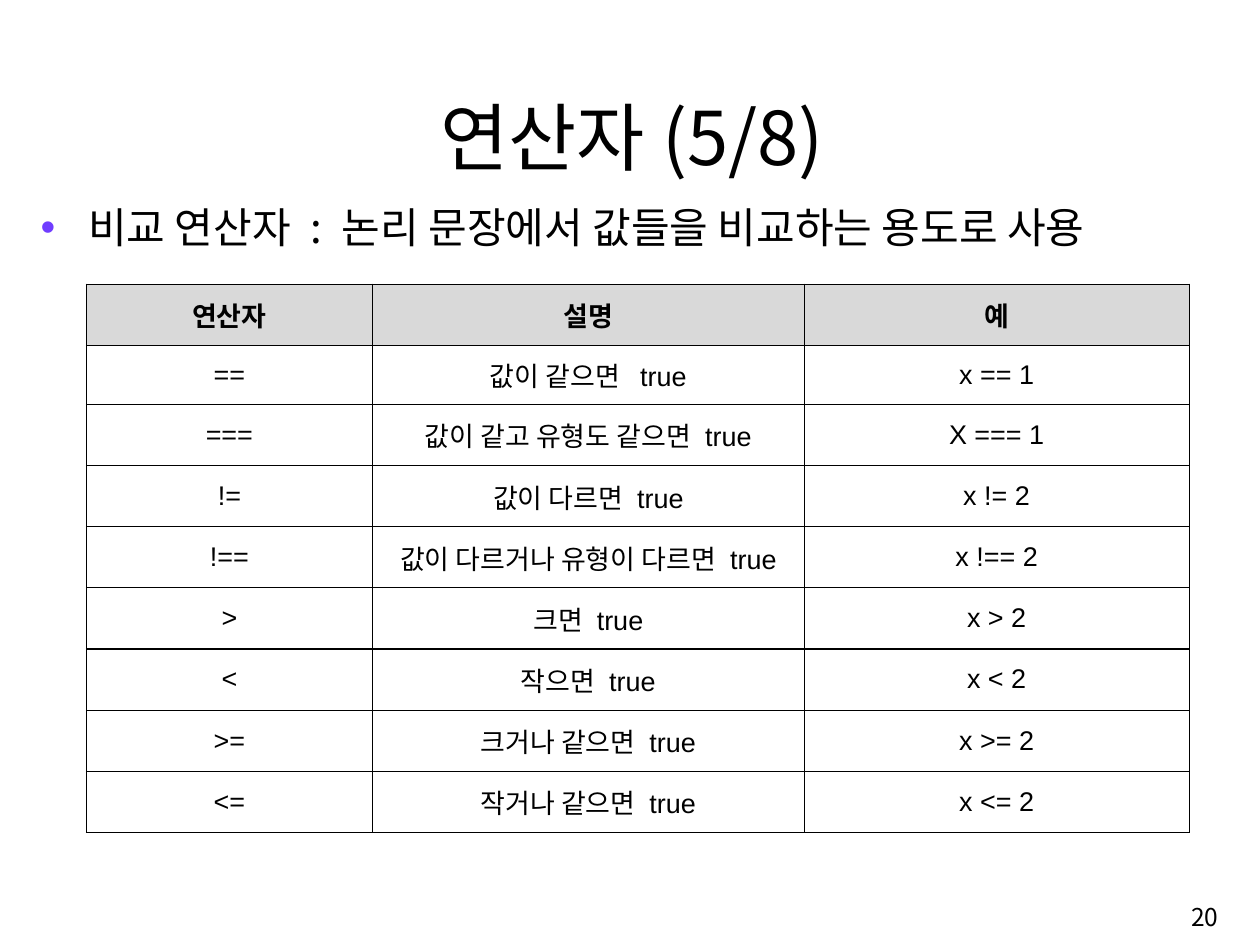
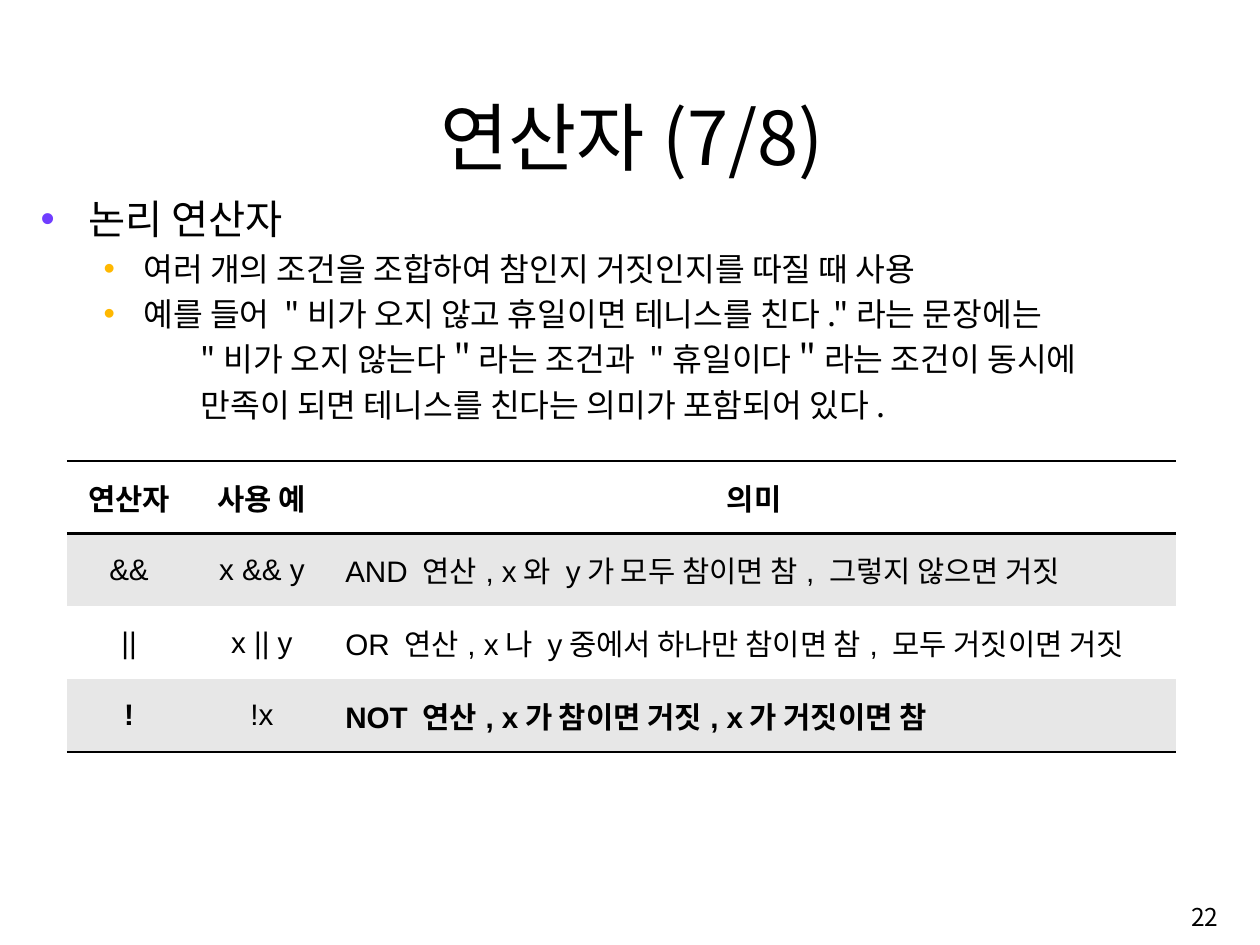
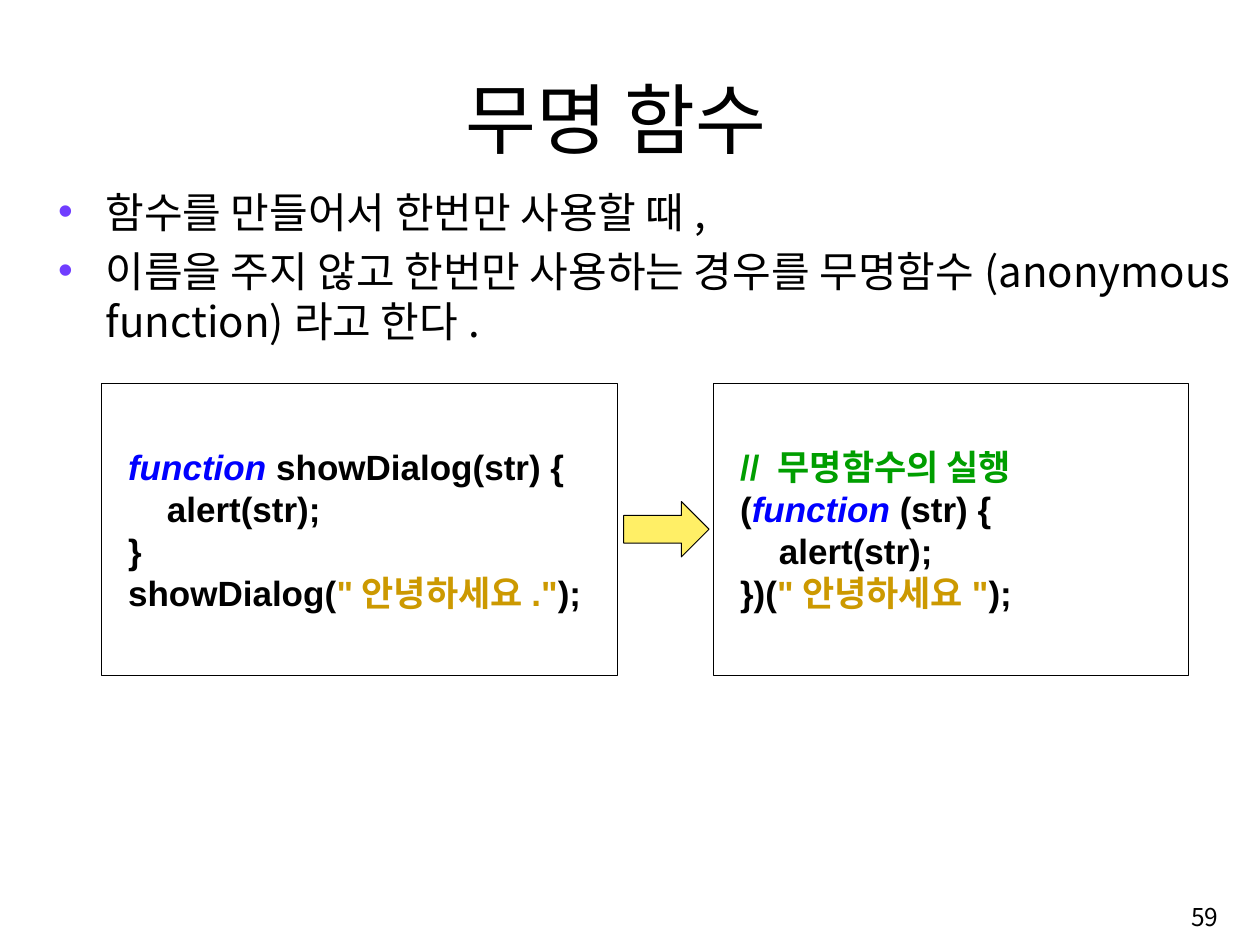
from dataclasses import dataclass

from lxml import etree
from pptx import Presentation
from pptx.dml.color import RGBColor
from pptx.enum.shapes import MSO_SHAPE
from pptx.enum.text import MSO_ANCHOR, PP_ALIGN
from pptx.oxml.ns import qn
from pptx.util import Inches, Pt

LEFT, CENTER, RIGHT = PP_ALIGN.LEFT, PP_ALIGN.CENTER, PP_ALIGN.RIGHT
TOP, MIDDLE, BOTTOM = MSO_ANCHOR.TOP, MSO_ANCHOR.MIDDLE, MSO_ANCHOR.BOTTOM
RECTANGLE, RIGHT_ARROW = MSO_SHAPE.RECTANGLE, MSO_SHAPE.RIGHT_ARROW
BLANK_LAYOUT = 6


@dataclass(frozen=True)
class Theme:
    text_font: str = "Noto Sans CJK KR"
    code_font: str = "Arial"
    black: str = "000000"
    white: str = "FFFFFF"
    bullets: tuple = ("703DFF", "FFB800")
    header_gray: str = "D9D9D9"
    band_gray: str = "E7E7E7"
    keyword: str = "0000FF"
    string: str = "CC9900"
    remark: str = "009E00"
    arrow: str = "FFEF66"
    page_size: float = 18.2
    code_size: float = 26
    line_height: float = 1.2
    outline: float = 0.75
    text_insets: tuple = (0.1, 0.05, 0.1, 0.05)
    title_insets: tuple = (0.1, 0.05, 0.1, 0)
    cell_insets: tuple = (0.13, 0.06, 0.13, 0.06)


THEME = Theme()
TITLE_BOX = (1.21, 0.78, 10.61, 1.08)
PAGE_BOX = (9.98, 9.15, 2.68, 0.6)
BULLET_INDENTS = ((0.49, -0.49), (1.06, -0.41))
CONTINUATION_INDENT = (1.65, 0)
CODE_INDENTS = (0.14, 0.54)


def color(value):
    return RGBColor.from_string(value)


def add_run(paragraph, text, size, font=THEME.text_font, fill=THEME.black,
            bold=False, italic=False):
    run = paragraph.add_run()
    run.text = text
    run.font.name = font
    run.font.size = Pt(size)
    run.font.bold = bold
    run.font.italic = italic
    run.font.color.rgb = color(fill)
    east_asian = etree.SubElement(run._r.get_or_add_rPr(), qn("a:ea"))
    east_asian.set("typeface", THEME.text_font)


def set_indent(paragraph, left, first=0):
    properties = paragraph._p.get_or_add_pPr()
    properties.set("marL", str(Inches(left)))
    properties.set("indent", str(Inches(first)))
    return properties


def add_bullet(properties, fill):
    bullet_color = etree.SubElement(properties, qn("a:buClr"))
    etree.SubElement(bullet_color, qn("a:srgbClr")).set("val", fill)
    etree.SubElement(properties, qn("a:buFont")).set("typeface", THEME.code_font)
    etree.SubElement(properties, qn("a:buChar")).set("char", "•")


def set_frame(frame, anchor, insets):
    frame.word_wrap = True
    frame.vertical_anchor = anchor
    (frame.margin_left, frame.margin_top,
     frame.margin_right, frame.margin_bottom) = map(Inches, insets)


def add_text_box(slide, box, anchor, insets=THEME.text_insets):
    frame = slide.shapes.add_textbox(*map(Inches, box)).text_frame
    set_frame(frame, anchor, insets)
    return frame


def next_paragraph(frame, index):
    return frame.add_paragraph() if index else frame.paragraphs[0]


def add_title(slide, box, text, size):
    frame = add_text_box(slide, box, BOTTOM, THEME.title_insets)
    paragraph = frame.paragraphs[0]
    paragraph.alignment = CENTER
    add_run(paragraph, text, size)


def add_page_number(slide, box, number):
    paragraph = add_text_box(slide, box, MIDDLE).paragraphs[0]
    paragraph.alignment = RIGHT
    add_run(paragraph, str(number), THEME.page_size)


def add_body(slide, box, items, sizes):
    frame = add_text_box(slide, box, TOP)
    for index, (level, bulleted, text) in enumerate(items):
        paragraph = next_paragraph(frame, index)
        size = sizes[level]
        paragraph.line_spacing = Pt(size * THEME.line_height)
        paragraph.space_before = Pt(size * 0.2)
        if bulleted:
            properties = set_indent(paragraph, *BULLET_INDENTS[level])
            add_bullet(properties, THEME.bullets[level])
        else:
            set_indent(paragraph, *CONTINUATION_INDENT)
        add_run(paragraph, text, size)


def set_borders(cell, widths):
    properties = cell._tc.get_or_add_tcPr()
    for side, width in zip(("lnL", "lnR", "lnT", "lnB"), widths):
        line = etree.SubElement(properties, qn(f"a:{side}"))
        line.set("w", str(Pt(width)))
        if width:
            solid = etree.SubElement(line, qn("a:solidFill"))
            etree.SubElement(solid, qn("a:srgbClr")).set("val", THEME.black)
        else:
            etree.SubElement(line, qn("a:noFill"))


def add_grid(slide, box, columns, heights, rows, size, fills, row_edges,
             column_edge, left_column=None, bold_cells=()):
    shape = slide.shapes.add_table(len(rows), len(columns), *map(Inches, box))
    table = shape.table
    table.first_row = table.horz_banding = False
    for column, width in zip(table.columns, columns):
        column.width = Inches(width)
    for row_index, texts in enumerate(rows):
        table.rows[row_index].height = Inches(heights[row_index])
        for column_index, text in enumerate(texts):
            cell = table.cell(row_index, column_index)
            set_borders(cell, (column_edge, column_edge,
                               *row_edges[row_index:row_index + 2]))
            cell.fill.solid()
            cell.fill.fore_color.rgb = color(fills[row_index])
            cell.vertical_anchor = MIDDLE
            (cell.margin_left, cell.margin_top,
             cell.margin_right, cell.margin_bottom) = map(Inches, THEME.cell_insets)
            paragraph = cell.text_frame.paragraphs[0]
            is_header = row_index == 0
            aligned_left = column_index == left_column and not is_header
            paragraph.alignment = LEFT if aligned_left else CENTER
            bold = is_header or (row_index, column_index) in bold_cells
            add_run(paragraph, text, size, THEME.code_font, bold=bold)


def add_outlined_shape(slide, kind, box, fill):
    shape = slide.shapes.add_shape(kind, *map(Inches, box))
    shape.shadow.inherit = False
    shape.fill.solid()
    shape.fill.fore_color.rgb = color(fill)
    shape.line.color.rgb = color(THEME.black)
    shape.line.width = Pt(THEME.outline)
    return shape


def add_code_box(slide, box, lines):
    frame = add_outlined_shape(slide, RECTANGLE, box, THEME.white).text_frame
    set_frame(frame, MIDDLE, THEME.cell_insets)
    for index, (depth, runs) in enumerate(lines):
        paragraph = next_paragraph(frame, index)
        paragraph.alignment = LEFT
        paragraph.line_spacing = Pt(THEME.code_size * THEME.line_height)
        set_indent(paragraph, CODE_INDENTS[depth])
        for text, fill in runs:
            add_run(paragraph, text, THEME.code_size, THEME.code_font, fill,
                    bold=True, italic=fill == THEME.keyword)


def add_slide(presentation, title, number, title_box=TITLE_BOX, title_size=55):
    slide = presentation.slides.add_slide(presentation.slide_layouts[BLANK_LAYOUT])
    add_title(slide, title_box, title, title_size)
    add_page_number(slide, PAGE_BOX, number)
    return slide


def add_comparison_slide(presentation):
    slide = add_slide(presentation, "연산자(5/8)", 20)
    add_body(slide, (0.32, 2.03, 12.32, 0.7),
             [(0, True, "비교 연산자 : 논리 문장에서 값들을 비교하는 용도로 사용")], (31.2,))
    rows = [
        ("연산자", "설명", "예"),
        ("==", "값이 같으면  true", "x == 1"),
        ("===", "값이 같고 유형도 같으면 true", "X === 1"),
        ("!=", "값이 다르면 true", "x != 2"),
        ("!==", "값이 다르거나 유형이 다르면 true", "x !== 2"),
        (">", "크면 true", "x > 2"),
        ("<", "작으면 true", "x < 2"),
        (">=", "크거나 같으면 true", "x >= 2"),
        ("<=", "작거나 같으면 true", "x <= 2"),
    ]
    body_count = len(rows) - 1
    add_grid(slide, (0.89, 2.93, 11.37, 5.65), (2.95, 4.45, 3.97),
             [0.63, 0.61] + [0.63] * (body_count - 1), rows, 20,
             [THEME.header_gray] + [THEME.white] * body_count,
             [1] * (len(rows) + 1), 1)


def add_logic_slide(presentation):
    slide = add_slide(presentation, "연산자(7/8)", 22)
    add_body(slide, (0.32, 1.95, 12.32, 2.6), [
        (0, True, "논리 연산자"),
        (1, True, "여러 개의 조건을 조합하여 참인지 거짓인지를 따질 때 사용"),
        (1, True, "예를 들어 \"비가 오지 않고 휴일이면 테니스를 친다.\"라는 문장에는"),
        (1, False, "\"비가 오지 않는다＂라는 조건과 \"휴일이다＂라는 조건이 동시에"),
        (1, False, "만족이 되면 테니스를 친다는 의미가 포함되어 있다."),
    ], (30, 24))
    rows = [
        ("연산자", "사용 예", "의미"),
        ("&&", "x && y", "AND 연산, x와 y가 모두 참이면 참, 그렇지 않으면 거짓"),
        ("||", "x || y", "OR 연산, x나 y중에서 하나만 참이면 참, 모두 거짓이면 거짓"),
        ("!", "!x", "NOT 연산, x가 참이면 거짓, x가 거짓이면 참"),
    ]
    add_grid(slide, (0.69, 4.75, 11.43, 3), (1.28, 1.46, 8.69),
             [0.75] * len(rows), rows, 22, [THEME.white, THEME.band_gray] * 2,
             [2, 2, 0, 0, 2], 0, left_column=2, bold_cells={(3, 0), (3, 2)})


def add_function_slide(presentation):
    slide = add_slide(presentation, "무명 함수", 59, (1.05, 0.61, 10.61, 1.08), 57.2)
    add_body(slide, (0.5, 1.87, 12.32, 1.9), [
        (0, True, "함수를 만들어서 한번만 사용할 때,"),
        (0, True, "이름을 주지 않고 한번만 사용하는 경우를 무명함수"
                  "(anonymous function)라고 한다."),
    ], (31.2,))
    alert_line = (1, [("alert(str);", THEME.black)])
    add_code_box(slide, (1.05, 3.95, 5.32, 3.01), [
        (0, [("function ", THEME.keyword), ("showDialog(str) {", THEME.black)]),
        alert_line,
        (0, [("}", THEME.black)]),
        (0, [("showDialog(", THEME.black), ("\"안녕하세요.\"", THEME.string),
             (");", THEME.black)]),
    ])
    add_code_box(slide, (7.36, 3.95, 4.89, 3.01), [
        (0, [("// 무명함수의 실행", THEME.remark)]),
        (0, [("(", THEME.black), ("function", THEME.keyword),
             (" (str) {", THEME.black)]),
        alert_line,
        (0, [("})(", THEME.black), ("\"안녕하세요\"", THEME.string),
             (");", THEME.black)]),
    ])
    add_outlined_shape(slide, RIGHT_ARROW, (6.43, 5.17, 0.88, 0.57), THEME.arrow)


def main():
    presentation = Presentation()
    presentation.slide_width = Inches(12.99)
    presentation.slide_height = Inches(9.74)
    add_comparison_slide(presentation)
    add_logic_slide(presentation)
    add_function_slide(presentation)
    presentation.save("out.pptx")


if __name__ == "__main__":
    main()
